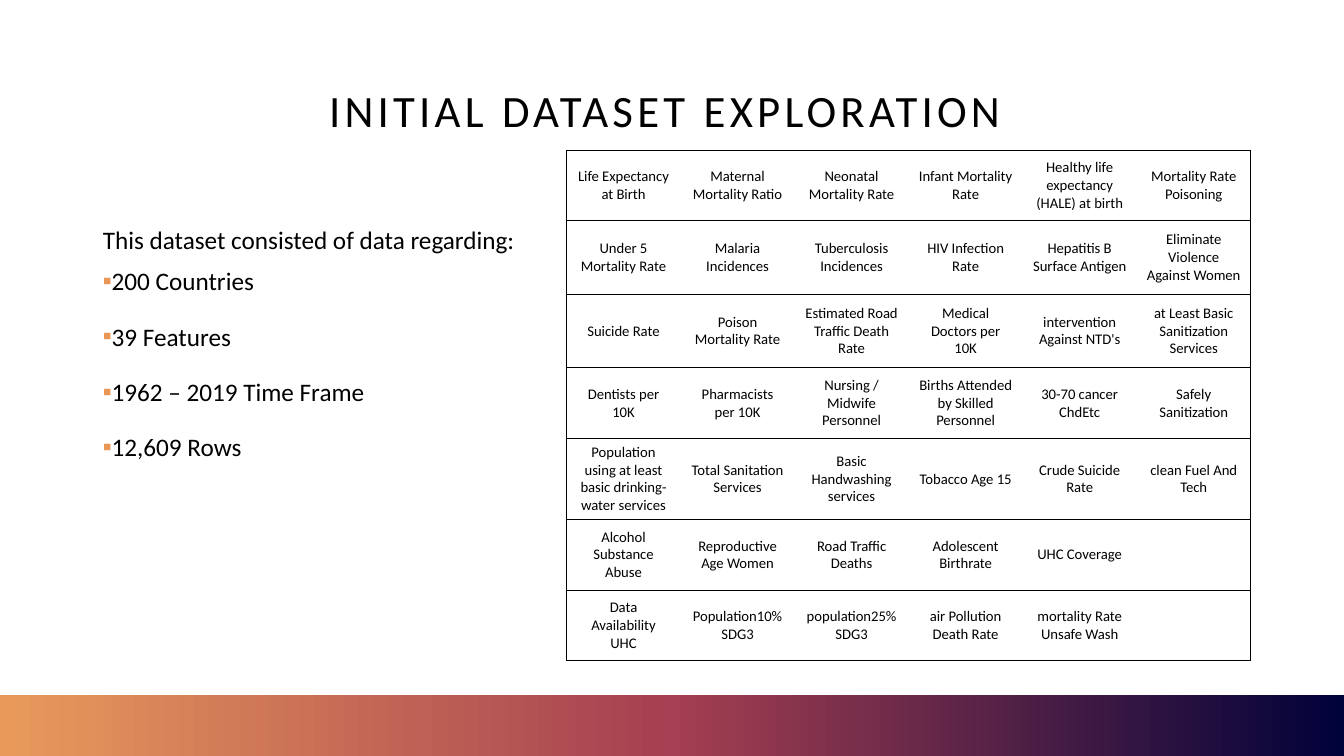
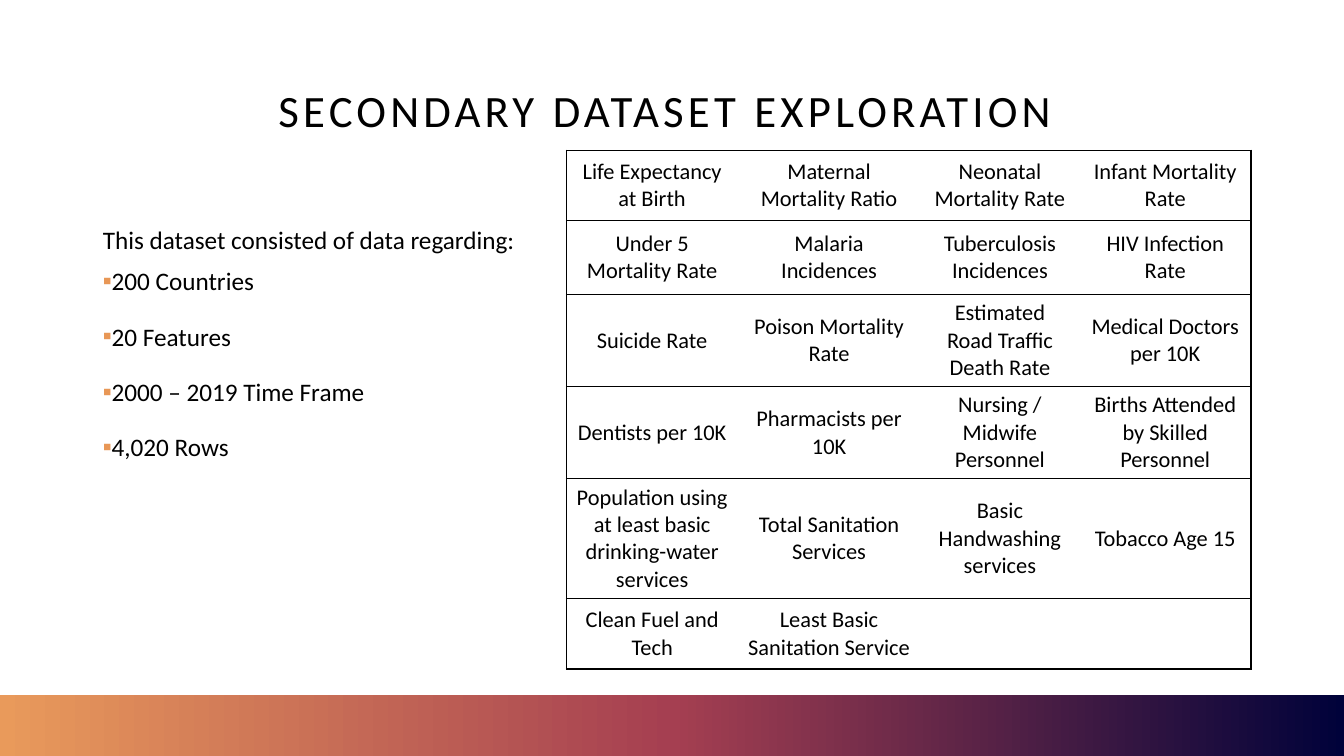
from copy import deepcopy

from lxml import etree
from pptx import Presentation
from pptx.dml.color import RGBColor
from pptx.enum.shapes import MSO_SHAPE
from pptx.enum.text import MSO_ANCHOR, MSO_AUTO_SIZE, PP_ALIGN
from pptx.oxml.ns import qn
from pptx.util import Inches, Pt

RECTANGLE = MSO_SHAPE.RECTANGLE
TOP, MIDDLE = MSO_ANCHOR.TOP, MSO_ANCHOR.MIDDLE
NO_AUTOFIT = MSO_AUTO_SIZE.NONE
LEFT, CENTER = PP_ALIGN.LEFT, PP_ALIGN.CENTER

SLIDE_WIDTH, SLIDE_HEIGHT = Inches(13.33), Inches(7.5)
FONT = "Calibri"
BLACK, ORANGE = "000000", "E89756"
BAND_COLORS = ("E99A5B", "A53F51", "00023A")

TITLE_AREA = (6.9, 5.33, 86.25, 19.33)
BODY_AREA = (6.9, 29.47, 42.75, 60.27)
BAND_AREA = (0, 91.87, 100, 8.13)
TABLE_LEFT, TABLE_TOP, TABLE_WIDTH = 42.15, 19.87, 50.93
ROW_HEIGHT, TALL_ROW_HEIGHT = 9.33, 9.73
TALL_ROWS = (1, 2)

INTRO = "This dataset consisted of data regarding:"
SHARED_FEATURES = [
    ["Life Expectancy at Birth", "Maternal Mortality Ratio",
     "Neonatal Mortality Rate", "Infant Mortality Rate"],
    ["Under 5 Mortality Rate", "Malaria Incidences",
     "Tuberculosis Incidences", "HIV Infection Rate"],
    ["Suicide Rate", "Poison Mortality Rate",
     "Estimated Road Traffic Death Rate", "Medical Doctors per 10K"],
    ["Dentists per 10K", "Pharmacists per 10K",
     "Nursing / Midwife Personnel", "Births Attended by Skilled Personnel"],
    ["Population using at least basic drinking-water services",
     "Total Sanitation Services", "Basic Handwashing services",
     "Tobacco Age 15"],
]
INITIAL_ONLY = [
    ["Healthy life expectancy (HALE) at birth", "Mortality Rate Poisoning"],
    ["Hepatitis B Surface Antigen", "Eliminate Violence Against Women"],
    ["intervention Against NTD's", "at Least Basic Sanitization Services"],
    ["30-70 cancer ChdEtc", "Safely Sanitization"],
    ["Crude Suicide Rate", "clean Fuel And Tech"],
]
INITIAL_FEATURES = [
    shared + extra for shared, extra in zip(SHARED_FEATURES, INITIAL_ONLY)
] + [
    ["Alcohol Substance Abuse", "Reproductive Age Women",
     "Road Traffic Deaths", "Adolescent Birthrate", "UHC Coverage", ""],
    ["Data Availability UHC", "Population10% SDG3", "population25%SDG3",
     "air Pollution Death Rate", "mortality Rate Unsafe Wash", ""],
]
SECONDARY_FEATURES = SHARED_FEATURES + [
    ["Clean Fuel and Tech", "Least Basic Sanitation Service", "", ""],
]


def color(hex_string):
    """Turn a hex string into a colour."""
    return RGBColor.from_string(hex_string)


def across(percent):
    """Return a share of the slide's width."""
    return round(SLIDE_WIDTH * percent / 100)


def down(percent):
    """Return a share of the slide's height."""
    return round(SLIDE_HEIGHT * percent / 100)


def frame(area):
    """Turn an area in percent of the slide into lengths."""
    left, top, width, height = area
    return across(left), down(top), across(width), down(height)


def style_spans(para, size):
    """Give every run of a paragraph the deck's font."""
    for span in para.runs:
        span.font.name = FONT
        span.font.size = Pt(size)
        span.font.bold = False
        span.font.color.rgb = color(BLACK)


def prepare_placeholder(box, area, anchor):
    """Move a placeholder and return its text frame."""
    box.left, box.top, box.width, box.height = frame(area)
    text_frame = box.text_frame
    text_frame.word_wrap = True
    text_frame.auto_size = NO_AUTOFIT
    text_frame.vertical_anchor = anchor
    return text_frame


def add_band(page):
    """Draw the gradient band along the bottom."""
    band = page.shapes.add_shape(RECTANGLE, *frame(BAND_AREA))
    band.shadow.inherit = False
    band.line.fill.background()
    band.fill.gradient()
    band.fill.gradient_angle = 0
    stop_list = next(band._element.spPr.iter(qn("a:gsLst")))
    stop_list.insert(1, deepcopy(stop_list[0]))
    for index, stop in enumerate(band.fill.gradient_stops):
        stop.position = index / (len(BAND_COLORS) - 1)
        stop.color.rgb = color(BAND_COLORS[index])


def set_title(page, title):
    """Fill the centred, widely spaced title."""
    text_frame = prepare_placeholder(page.shapes.title, TITLE_AREA, MIDDLE)
    text_frame.text = title
    para = text_frame.paragraphs[0]
    para.alignment = CENTER
    para.line_spacing = 0.9
    style_spans(para, 32)
    for span in para.runs:
        span.font._element.set("spc", "300")


def set_bullet(para, has_bullet):
    """Give a paragraph an orange square bullet, or none."""
    properties = para._p.get_or_add_pPr()
    properties.set("marL", "0")
    properties.set("indent", str(-Inches(0.25) if has_bullet else 0))
    if has_bullet:
        bullet_color = etree.SubElement(properties, qn("a:buClr"))
        etree.SubElement(bullet_color, qn("a:srgbClr"), val=ORANGE)
        etree.SubElement(properties, qn("a:buFont"), typeface=FONT)
        etree.SubElement(properties, qn("a:buChar"), char="▪")
    else:
        etree.SubElement(properties, qn("a:buNone"))


def set_facts(page, facts):
    """Fill the body with the intro line and its bulleted facts."""
    text_frame = prepare_placeholder(page.placeholders[1], BODY_AREA, TOP)
    text_frame.text = "\n".join([INTRO, *facts])
    for index, para in enumerate(text_frame.paragraphs):
        is_fact = index > 0
        set_bullet(para, is_fact)
        para.level = int(is_fact)
        para.alignment = LEFT
        para.line_spacing = 0.9
        para.space_before = Pt(10 if is_fact else 0)
        para.space_after = Pt(10 if is_fact else 0)
        style_spans(para, 18)


def set_borders(cell, drawn_sides):
    """Draw the named sides of a cell and clear the others."""
    properties = cell._tc.get_or_add_tcPr()
    for side in "LRTB":
        line = etree.SubElement(properties, qn(f"a:ln{side}"), w=str(Pt(1)))
        if side in drawn_sides:
            fill = etree.SubElement(line, qn("a:solidFill"))
            etree.SubElement(fill, qn("a:srgbClr"), val=BLACK)
        else:
            etree.SubElement(line, qn("a:noFill"))


def fill_cell(cell, text, size, drawn_sides):
    """Write centred text into a bordered, unfilled cell."""
    set_borders(cell, drawn_sides)
    cell.fill.background()
    cell.vertical_anchor = MIDDLE
    if text:
        cell.text_frame.text = text
        para = cell.text_frame.paragraphs[0]
        para.alignment = CENTER
        style_spans(para, size)


def add_feature_table(page, features, column_weights, size):
    """Add the ruled table of dataset features."""
    heights = [TALL_ROW_HEIGHT if index in TALL_ROWS else ROW_HEIGHT
               for index in range(len(features))]
    area = (TABLE_LEFT, TABLE_TOP, TABLE_WIDTH, sum(heights))
    table = page.shapes.add_table(
        len(features), len(column_weights), *frame(area)).table
    table.first_row = False
    table.horz_banding = False
    for column, weight in zip(table.columns, column_weights):
        column.width = across(TABLE_WIDTH * weight / sum(column_weights))
    last = len(column_weights) - 1
    for row, height, texts in zip(table.rows, heights, features):
        row.height = down(height)
        for index, (cell, text) in enumerate(zip(row.cells, texts)):
            sides = "TB" + "L" * (index == 0) + "R" * (index == last)
            fill_cell(cell, text, size, sides)


def add_dataset_page(deck, title, facts, features, column_weights, size):
    """Add one slide that describes a dataset."""
    page = deck.slides.add_slide(deck.slide_layouts[1])
    set_title(page, title)
    set_facts(page, facts)
    add_band(page)
    add_feature_table(page, features, column_weights, size)


def main():
    """Build and save the deck."""
    deck = Presentation()
    deck.slide_width, deck.slide_height = SLIDE_WIDTH, SLIDE_HEIGHT
    add_dataset_page(
        deck, "INITIAL DATASET EXPLORATION ",
        ["200 Countries", "39 Features", "1962 – 2019 Time Frame",
         "12,609 Rows"],
        INITIAL_FEATURES, (1,) * 6, 10.5)
    add_dataset_page(
        deck, "SECONDARY DATASET EXPLORATION ",
        ["200 Countries", "20 Features", "2000 – 2019 Time Frame",
         "4,020 Rows"],
        SECONDARY_FEATURES, (1.7, 1.81, 1.58, 1.7), 16)
    deck.save("out.pptx")


if __name__ == "__main__":
    main()
